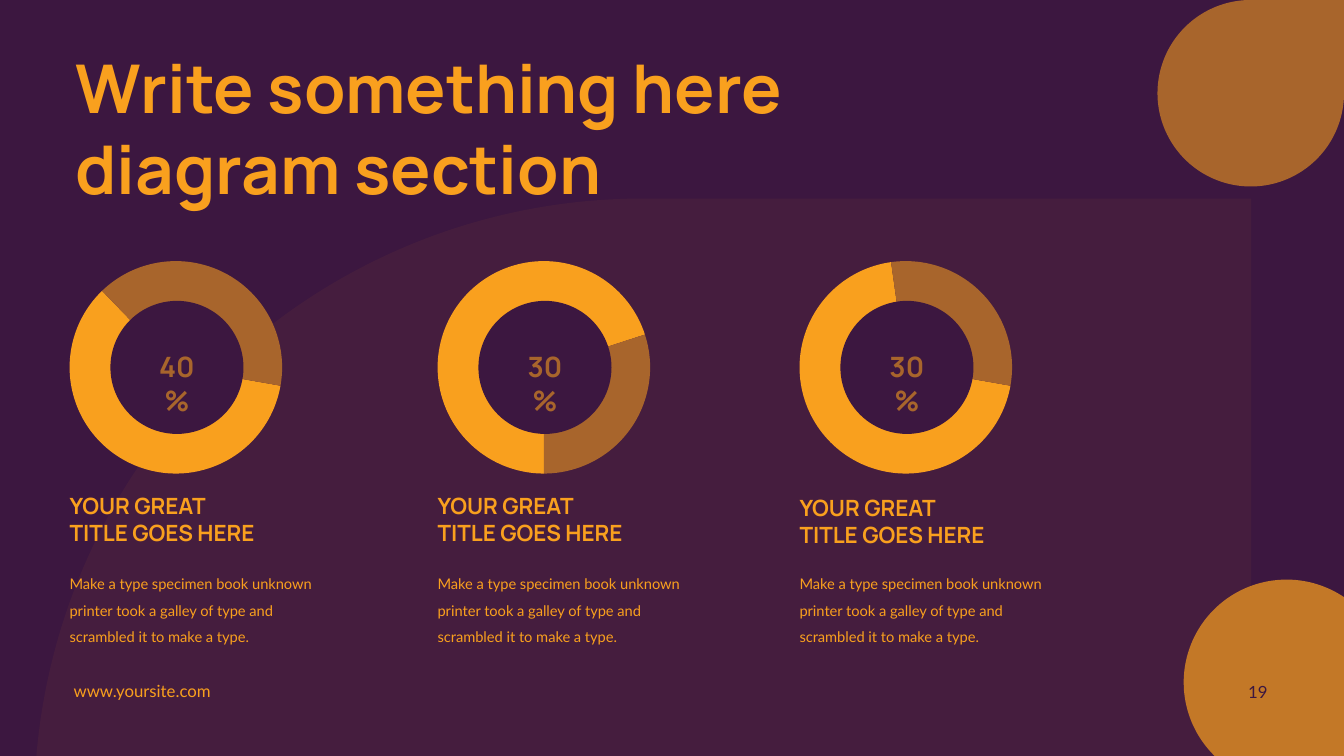
import math
from lxml import etree
from pptx import Presentation
from pptx import util as u
from pptx.chart.data import CategoryChartData
from pptx.dml.color import RGBColor
from pptx.enum import chart as ch, shapes, text
from pptx.oxml import parse_xml
from pptx.oxml.ns import qn

COLORS = {"plum": "3C1740", "orange": "F9A01E", "brown": "A8652C", "amber": "C37827"}
TITLE = "Write something here diagram section"
SITE = "www.yoursite.com"
PAGE = "19"
HEADING = ["YOUR GREAT", "TITLE GOES HERE"]
BODY = ("Make a type specimen book unknown printer took a galley of type "
        "and scrambled it to make a type.")
COLUMNS = [
    {"left": 0.69, "heading_top": 4.88, "values": (60, 40), "start": 100},
    {"left": 4.34, "heading_top": 4.88, "values": (70, 30), "start": 180},
    {"left": 7.93, "heading_top": 4.9, "values": (70, 30), "start": 100},
]
SLIDE_W, SLIDE_H = 13.33, 7.5
PIE_TOP, PIE_SIZE, HOLE_SIZE = 2.58, 2.13, 1.32
PERCENT_TOP, PERCENT_W = 3.47, 0.5
BODY_TOP, TEXT_W = 5.62, 2.67
DISC_X, DISC_Y, DISC_R = 12.76, 6.77, 1.02
LAYOUT = {"x": 0, "y": 0, "w": 0.99, "h": 1}


def rgb(name):
    return RGBColor.from_string(COLORS[name])


def paint(sp, color, alpha=None):
    sp.shadow.inherit = False
    sp.fill.solid()
    sp.fill.fore_color.rgb = rgb(color)
    sp.line.fill.background()
    if alpha is not None:
        clr = sp.fill._xPr.find(".//" + qn("a:srgbClr"))
        etree.SubElement(clr, qn("a:alpha")).set("val", str(alpha * 1000))


def add_shape(slide, kind, left, top, size, color, alpha=None):
    sp = slide.shapes.add_shape(kind, *map(u.Inches, (left, top, size, size)))
    paint(sp, color, alpha)


def add_text(slide, box, lines, size, font, color="orange", bold=False,
             align=text.PP_ALIGN.LEFT, spacing=None, inset=True, middle=False):
    sp = slide.shapes.add_textbox(*map(u.Inches, box))
    tf = sp.text_frame
    tf.word_wrap = True
    if not inset:
        tf.margin_left = tf.margin_right = tf.margin_top = tf.margin_bottom = 0
    if middle:
        tf.vertical_anchor = text.MSO_ANCHOR.MIDDLE
    tf.text = "\n".join(lines)
    for p in tf.paragraphs:
        p.alignment = align
        if spacing:
            p.line_spacing = spacing
        for r in p.runs:
            r.font.size = u.Pt(size)
            r.font.name = font
            r.font.bold = bold
            r.font.color.rgb = rgb(color)


def add_pie(slide, left, values, start):
    data = CategoryChartData()
    data.categories = ["1", "2"]
    data.add_series("Series 1", values)
    box = map(u.Inches, (left, PIE_TOP, PIE_SIZE, PIE_SIZE))
    chart = slide.shapes.add_chart(ch.XL_CHART_TYPE.PIE, *box, data).chart
    chart.has_title = False
    chart.has_legend = False
    chart.font.size = u.Pt(10)
    chart.font.name = "Lato"
    chart.font.color.rgb = rgb("orange")
    plot = chart.plots[0]
    plot.vary_by_categories = True
    for i, color in enumerate(("orange", "brown")):
        fmt = plot.series[0].points[i].format
        fmt.fill.solid()
        fmt.fill.fore_color.rgb = rgb(color)
        fmt.line.fill.background()
    pie = chart._chartSpace.find(".//" + qn("c:pieChart"))
    etree.SubElement(pie, qn("c:firstSliceAng")).set("val", str(start))
    area = pie.getparent()
    for old in area.findall(qn("c:layout")):
        area.remove(old)
    sizes = "".join(f'<c:{k} val="{v}"/>' for k, v in LAYOUT.items())
    area.insert(0, parse_xml(
        '<c:layout xmlns:c="http://schemas.openxmlformats.org/drawingml/2006/chart">'
        '<c:manualLayout><c:layoutTarget val="inner"/><c:xMode val="edge"/>'
        f'<c:yMode val="edge"/>{sizes}</c:manualLayout></c:layout>'))


def add_corner_disc(slide):
    first = math.acos((SLIDE_W - DISC_X) / DISC_R)
    last = math.pi + math.asin((SLIDE_H - DISC_Y) / DISC_R)
    steps = 90
    angles = [first + (last - first) * i / steps for i in range(steps + 1)]
    arc = [(u.Inches(DISC_X + DISC_R * math.cos(a)),
            u.Inches(DISC_Y - DISC_R * math.sin(a))) for a in angles]
    corner = (u.Inches(SLIDE_W), u.Inches(SLIDE_H))
    outline = slide.shapes.build_freeform(*corner)
    outline.add_line_segments(arc, close=True)
    paint(outline.convert_to_shape(), "amber")


def add_column(slide, left, heading_top, values, start):
    add_pie(slide, left, values, start)
    center = left + PIE_SIZE / 2
    hole_top = PIE_TOP + (PIE_SIZE - HOLE_SIZE) / 2
    add_shape(slide, shapes.MSO_SHAPE.OVAL, center - HOLE_SIZE / 2, hole_top,
              HOLE_SIZE, "plum")
    add_text(slide, (center - PERCENT_W / 2, PERCENT_TOP, PERCENT_W, 0.34),
             [f"{values[1]}%"], 20, "Manrope", "brown", True,
             text.PP_ALIGN.CENTER, inset=False)
    add_text(slide, (left, heading_top, TEXT_W, 0.54), HEADING, 16, "Manrope",
             bold=True, inset=False)
    add_text(slide, (left, BODY_TOP, TEXT_W, 0.76), [BODY], 10.5, "Lato",
             spacing=1.5, inset=False)


def main():
    prs = Presentation()
    prs.slide_width, prs.slide_height = u.Inches(SLIDE_W), u.Inches(SLIDE_H)
    slide = prs.slides.add_slide(prs.slide_layouts[6])
    slide.background.fill.solid()
    slide.background.fill.fore_color.rgb = rgb("plum")
    add_text(slide, (0.73, 6.75, 2.71, 0.2), [SITE], 12, "Lato", inset=False)
    add_shape(slide, shapes.MSO_SHAPE.TEAR, SLIDE_W - 1.85, 0, 1.85, "brown")
    add_shape(slide, shapes.MSO_SHAPE.TEAR, 0.34, 1.97, 12.07, "orange", 5)
    add_corner_disc(slide)
    add_text(slide, (9.67, 6.66, 3, 0.4), [PAGE], 12, "Lato", "plum",
             align=text.PP_ALIGN.RIGHT, middle=True)
    for column in COLUMNS:
        add_column(slide, **column)
    add_text(slide, (0.65, 0.41, 9.48, 1.72), [TITLE], 48, "Manrope", bold=True)
    prs.save("out.pptx")


if __name__ == "__main__":
    main()
